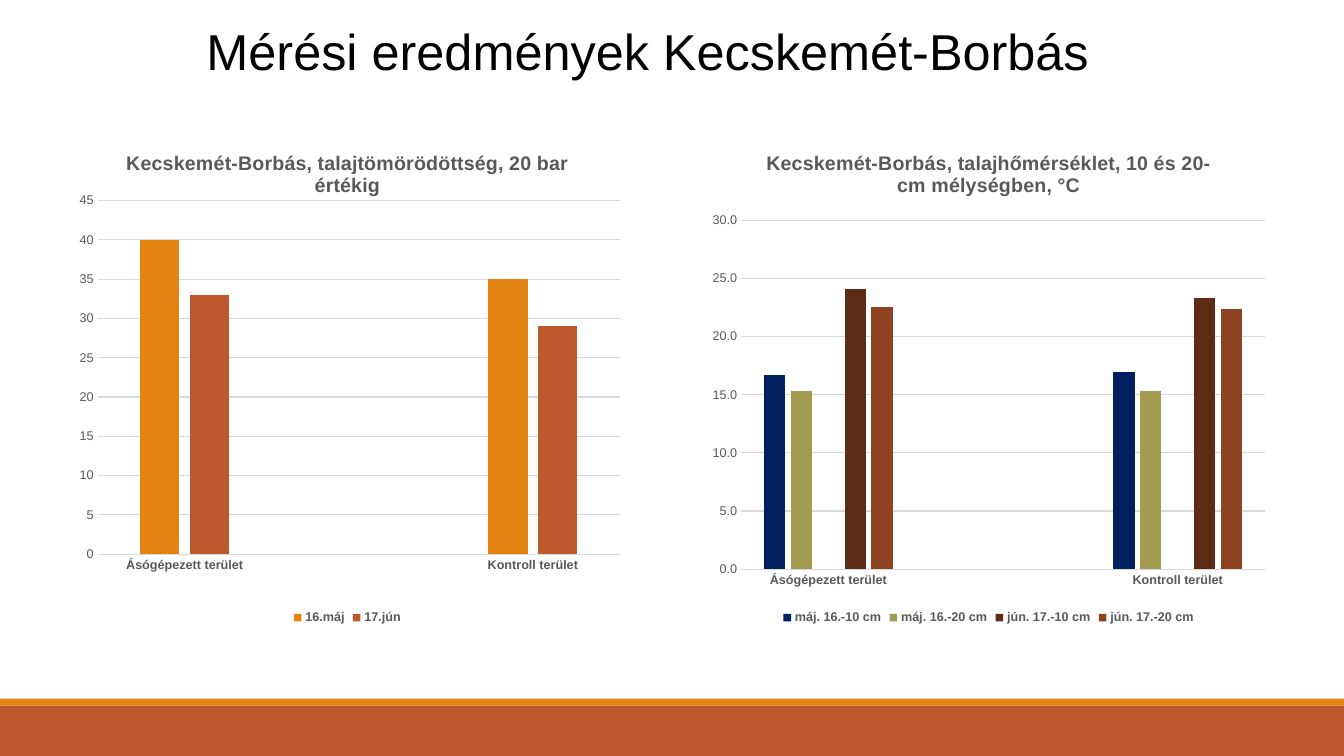
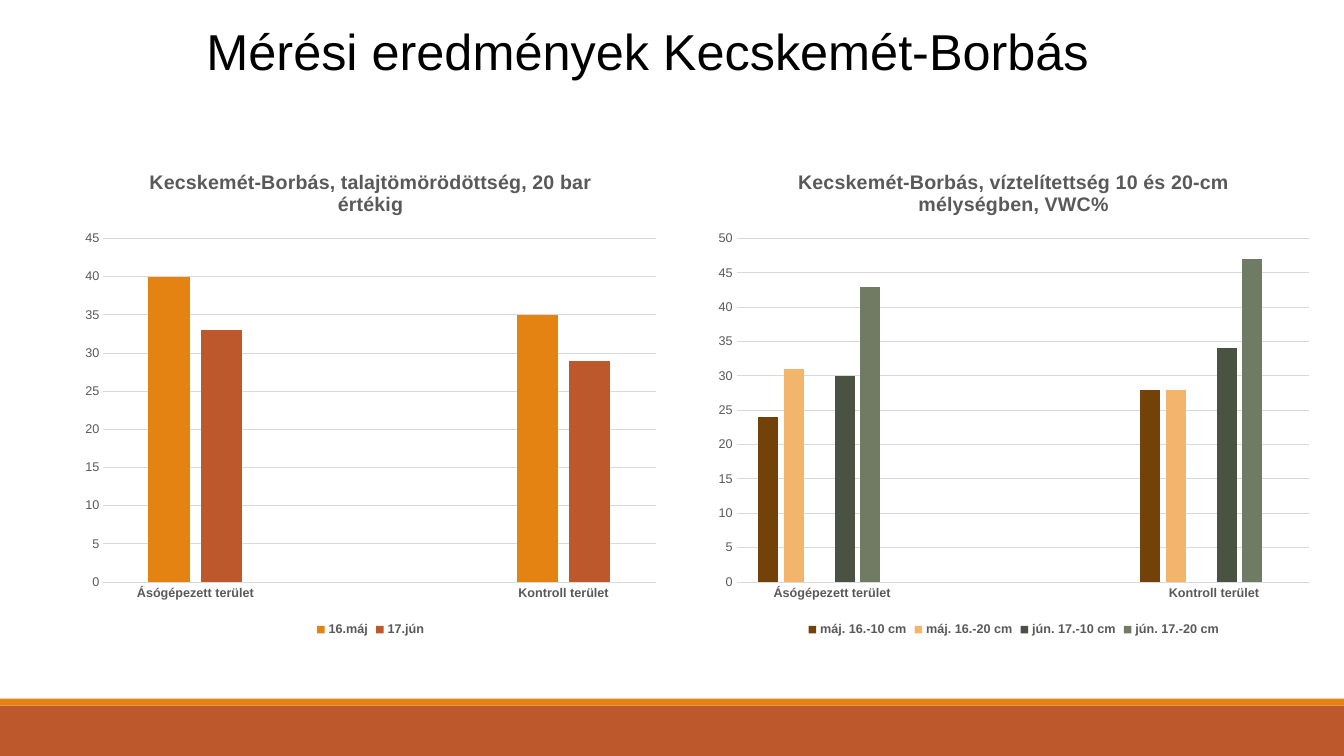
from dataclasses import dataclass

from lxml import etree
from pptx import Presentation
from pptx import util as u
from pptx.chart import data as cd
from pptx.dml.color import RGBColor
from pptx.enum import chart as ce
from pptx.enum import shapes, text
from pptx.oxml import ns

HUES = {
    "black": "000000", "gray": "595959", "grid": "D9D9D9",
    "orange": "E48312", "rust": "BD582C", "navy": "002060",
    "olive": "A39B4E", "umber": "5E2C16", "brick": "8E4221",
    "brown": "724209", "peach": "F3B56C", "moss": "4A5242",
    "sage": "6F7B63",
}
FACE = "Arial"
WIDE, HIGH = u.Inches(13.33), u.Inches(7.5)
HEAD = "Mérési eredmények Kecskemét-Borbás"
AREAS = ("Ásógépezett terület", "", "Kontroll terület")


@dataclass(frozen=True)
class Box:
    """Left, top, width and height in percent of the slide."""
    x: float
    y: float
    w: float
    h: float

    def place(self) -> tuple[int, ...]:
        sides = (WIDE, HIGH, WIDE, HIGH)
        parts = (self.x, self.y, self.w, self.h)
        return tuple(round(s * p / 100) for s, p in zip(sides, parts))


@dataclass(frozen=True)
class Row:
    name: str
    dug: float | None
    plain: float | None
    hue: str


@dataclass(frozen=True)
class Graph:
    title: str
    rows: tuple[Row, ...]
    top: float
    form: str = "0"


@dataclass(frozen=True)
class Panel:
    graph: Graph
    box: Box
    plot: tuple[float, float, float, float]


BANDS = ((Box(0, 93.33, 100, 6.67), "rust"), (Box(0, 92.4, 100, 0.93), "orange"))
TITLE = Box(14.63, 2, 70.14, 9.47)
GAP = Row("", None, None, "gray")

PRESS = Graph(
    "Kecskemét-Borbás, talajtömörödöttség, 20 bar értékig",
    (Row("16.máj", 40, 35, "orange"), Row("17.jún", 33, 29, "rust")), 45)
HEAT = Graph(
    "Kecskemét-Borbás, talajhőmérséklet, 10 és 20-cm mélységben, °C",
    (Row("máj. 16.-10 cm", 16.7, 17, "navy"),
     Row("máj. 16.-20 cm", 15.3, 15.3, "olive"),
     GAP,
     Row("jún. 17.-10 cm", 24.1, 23.3, "umber"),
     Row("jún. 17.-20 cm", 22.6, 22.4, "brick")), 30, "0.0")
WATER = Graph(
    "Kecskemét-Borbás, víztelítettség 10 és 20-cm mélységben, VWC%",
    (Row("máj. 16.-10 cm", 24, 28, "brown"),
     Row("máj. 16.-20 cm", 31, 28, "peach"),
     GAP,
     Row("jún. 17.-10 cm", 30, 34, "moss"),
     Row("jún. 17.-20 cm", 43, 47, "sage"),
     GAP), 50)

DECK = (
    (Panel(PRESS, Box(4.73, 17.33, 42.24, 65.87), (0.06, 0.14, 0.92, 0.71)),
     Panel(HEAT, Box(52.14, 17.33, 42.84, 65.87), (0.07, 0.18, 0.91, 0.7))),
    (Panel(PRESS, Box(5.48, 19.87, 44.19, 64.93), (0.05, 0.18, 0.93, 0.7)),
     Panel(WATER, Box(52.51, 19.87, 45.84, 64.93), (0.05, 0.18, 0.93, 0.7))),
)


def tint(name: str) -> RGBColor:
    return RGBColor.from_string(HUES[name])


def style(font, size: float, hue: str = "gray", bold: bool = False) -> None:
    font.name, font.size, font.bold = FACE, u.Pt(size), bold
    font.color.rgb = tint(hue)


def node(root, tag: str, value: object = None):
    item = etree.SubElement(root, ns.qn(f"c:{tag}"))
    if value is not None:
        item.set("val", str(value))
    return item


def frame(chart, plot: tuple[float, ...]) -> None:
    area = chart._chartSpace.chart.plotArea
    for old in area.findall(ns.qn("c:layout")):
        area.remove(old)
    lay = node(area, "layout")
    area.insert(0, lay)
    hand = node(lay, "manualLayout")
    node(hand, "layoutTarget", "inner")
    node(hand, "xMode", "edge")
    node(hand, "yMode", "edge")
    for tag, part in zip("xywh", plot):
        node(hand, tag, part)


def key(chart, rows: tuple[Row, ...]) -> None:
    chart.has_legend = True
    legend = chart.legend
    legend.position = ce.XL_LEGEND_POSITION.BOTTOM
    legend.include_in_layout = False
    style(legend.font, 9, bold=True)
    spot = legend._element.find(ns.qn("c:legendPos"))
    for i in reversed(range(len(rows))):
        if not rows[i].name:
            entry = node(legend._element, "legendEntry")
            node(entry, "idx", i)
            node(entry, "delete", 1)
            spot.addnext(entry)


def axes(chart, graph: Graph) -> None:
    cat, val = chart.category_axis, chart.value_axis
    for axis in (cat, val):
        axis.major_tick_mark = axis.minor_tick_mark = ce.XL_TICK_MARK.NONE
        style(axis.tick_labels.font, 9, bold=axis is cat)
    val.minimum_scale, val.maximum_scale, val.major_unit = 0, graph.top, 5
    val.tick_labels.number_format = graph.form
    val.tick_labels.number_format_is_linked = False
    val.format.line.fill.background()
    for line in (cat.format.line, val.major_gridlines.format.line):
        line.color.rgb = tint("grid")
        line.width = u.Pt(0.75)


def draw(slide, panel: Panel) -> None:
    graph = panel.graph
    data = cd.CategoryChartData(number_format=graph.form)
    data.categories = AREAS
    for row in graph.rows:
        data.add_series(row.name, (row.dug, None, row.plain))
    kind = ce.XL_CHART_TYPE.COLUMN_CLUSTERED
    chart = slide.shapes.add_chart(kind, *panel.box.place(), data).chart
    style(chart.font, 10, "black")
    chart.has_title = True
    para = chart.chart_title.text_frame.paragraphs[0]
    para.text = graph.title
    style(para.font, 14, bold=True)
    chart.chart_title.include_in_layout = False
    bars = chart.plots[0]
    bars.gap_width, bars.overlap, bars.vary_by_categories = 219, -27, False
    for series, row in zip(bars.series, graph.rows):
        series.format.fill.solid()
        series.format.fill.fore_color.rgb = tint(row.hue)
        series.invert_if_negative = False
    axes(chart, graph)
    key(chart, graph.rows)
    frame(chart, panel.plot)


def base(slide) -> None:
    for box, hue in BANDS:
        band = slide.shapes.add_shape(shapes.MSO_SHAPE.RECTANGLE, *box.place())
        band.shadow.inherit = False
        band.fill.solid()
        band.fill.fore_color.rgb = tint(hue)
        band.line.fill.background()
    body = slide.shapes.add_textbox(*TITLE.place()).text_frame
    body.word_wrap = True
    body.auto_size = text.MSO_AUTO_SIZE.SHAPE_TO_FIT_TEXT
    para = body.paragraphs[0]
    para.text = HEAD
    style(para.font, 36, "black")


def main() -> None:
    deck = Presentation()
    deck.slide_width, deck.slide_height = WIDE, HIGH
    for panels in DECK:
        slide = deck.slides.add_slide(deck.slide_layouts[6])
        base(slide)
        for panel in panels:
            draw(slide, panel)
    deck.save("out.pptx")


if __name__ == "__main__":
    main()
